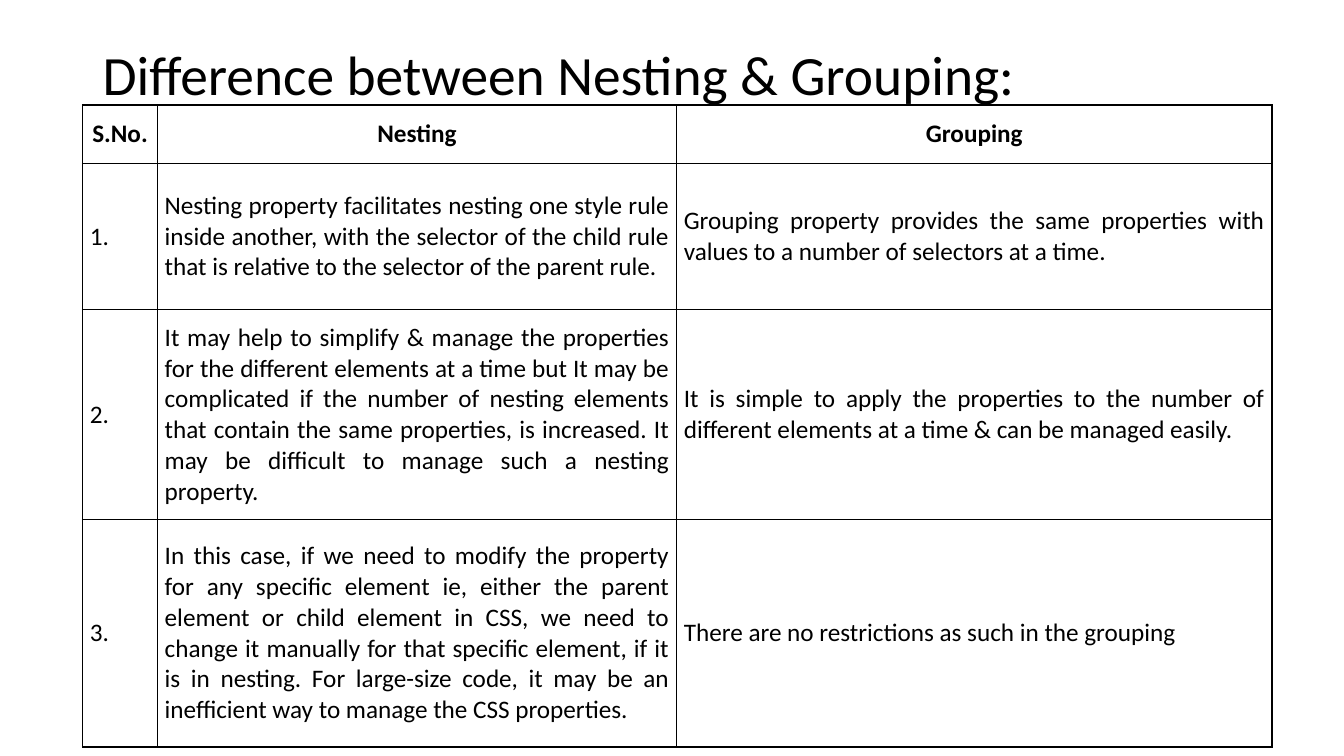
from dataclasses import dataclass

from lxml import etree
from pptx import Presentation
from pptx.dml.color import RGBColor
from pptx.enum.text import MSO_ANCHOR, PP_ALIGN
from pptx.oxml.ns import qn
from pptx.slide import Slide
from pptx.table import _Cell
from pptx.text.text import _Paragraph
from pptx.util import Pt

MIDDLE = MSO_ANCHOR.MIDDLE
LEFT, CENTER, JUSTIFY = PP_ALIGN.LEFT, PP_ALIGN.CENTER, PP_ALIGN.JUSTIFY

COLORS = {"text": "000000", "border": "000000", "cell": "FFFFFF"}
FONT_NAME = "Calibri"
BORDER_WIDTH = Pt(1)
SIDE_MARGIN = 5.2

COLUMN_WIDTHS = (53.5, 370.8, 425.3)
ROW_HEIGHTS = (41.8, 104.4, 149.8, 162.6)


@dataclass(frozen=True)
class RowStyle:
    alignments: tuple[PP_ALIGN, ...]
    bold: bool
    vertical_margin: float


@dataclass(frozen=True)
class Row:
    texts: tuple[str, ...]
    style: RowStyle


HEADER = RowStyle((CENTER, CENTER, CENTER), True, 5.2)
BODY = RowStyle((LEFT, JUSTIFY, JUSTIFY), False, 7.2)

ROWS = (
    Row(("S.No.", "Nesting", "Grouping"), HEADER),
    Row((
        "1.",
        "Nesting property facilitates nesting one style rule inside another, "
        "with the selector of the child rule that is relative to the selector "
        "of the parent rule.",
        "Grouping property provides the same properties with values to a "
        "number of selectors at a time.",
    ), BODY),
    Row((
        "2.",
        "It may help to simplify & manage the properties for the different "
        "elements at a time but It may be complicated if the number of nesting "
        "elements that contain the same properties, is increased. It may be "
        "difficult to manage such a nesting property.",
        "It is simple to apply the properties to the number of different "
        "elements at a time & can be managed easily.",
    ), BODY),
    Row((
        "3.",
        "In this case, if we need to modify the property for any specific "
        "element ie, either the parent element or child element in CSS, we "
        "need to change it manually for that specific element, if it is in "
        "nesting. For large-size code, it may be an inefficient way to manage "
        "the CSS properties.",
        "There are no restrictions as such in the grouping",
    ), BODY),
)


def write_text(paragraph: _Paragraph, text: str, size: float, bold: bool = False) -> None:
    paragraph.text = text
    font = paragraph.runs[0].font
    for name, value in {"name": FONT_NAME, "size": Pt(size), "bold": bold}.items():
        setattr(font, name, value)
    font.color.rgb = RGBColor.from_string(COLORS["text"])


def add_borders(cell: _Cell) -> None:
    """Draw all four edges; border elements must precede the cell fill."""
    properties = cell._tc.get_or_add_tcPr()
    for index, edge in enumerate(("a:lnL", "a:lnR", "a:lnT", "a:lnB")):
        line = etree.Element(qn(edge), w=str(BORDER_WIDTH))
        fill = etree.SubElement(line, qn("a:solidFill"))
        etree.SubElement(fill, qn("a:srgbClr"), val=COLORS["border"])
        properties.insert(index, line)


def fill_cell(cell: _Cell, text: str, alignment: PP_ALIGN, style: RowStyle) -> None:
    cell_format = {
        "vertical_anchor": MIDDLE,
        "margin_left": Pt(SIDE_MARGIN),
        "margin_right": Pt(SIDE_MARGIN),
        "margin_top": Pt(style.vertical_margin),
        "margin_bottom": Pt(style.vertical_margin),
    }
    for name, value in cell_format.items():
        setattr(cell, name, value)
    cell.fill.solid()
    cell.fill.fore_color.rgb = RGBColor.from_string(COLORS["cell"])
    add_borders(cell)
    paragraph = cell.text_frame.paragraphs[0]
    paragraph.alignment = alignment
    write_text(paragraph, text, 18, style.bold)


def add_title(slide: Slide) -> None:
    shape = slide.shapes.add_textbox(Pt(66.2), Pt(28.8), Pt(828), Pt(52.6))
    shape.text_frame.word_wrap = True
    shape.text_frame.vertical_anchor = MIDDLE
    paragraph = shape.text_frame.paragraphs[0]
    paragraph.line_spacing = 0.9
    write_text(paragraph, "Difference between Nesting & Grouping:", 39.6)


def add_comparison_table(slide: Slide) -> None:
    table = slide.shapes.add_table(
        len(ROWS), len(COLUMN_WIDTHS), Pt(59), Pt(75),
        Pt(sum(COLUMN_WIDTHS)), Pt(sum(ROW_HEIGHTS)),
    ).table
    table.horz_banding = False
    for column, width in zip(table.columns, COLUMN_WIDTHS):
        column.width = Pt(width)
    for table_row, height, row in zip(table.rows, ROW_HEIGHTS, ROWS):
        table_row.height = Pt(height)
        for cell, text, alignment in zip(table_row.cells, row.texts, row.style.alignments):
            fill_cell(cell, text, alignment, row.style)


def main() -> None:
    presentation = Presentation()
    presentation.slide_width, presentation.slide_height = Pt(960), Pt(540)
    slide = presentation.slides.add_slide(presentation.slide_layouts[6])
    add_title(slide)
    add_comparison_table(slide)
    presentation.save("out.pptx")


if __name__ == "__main__":
    main()
